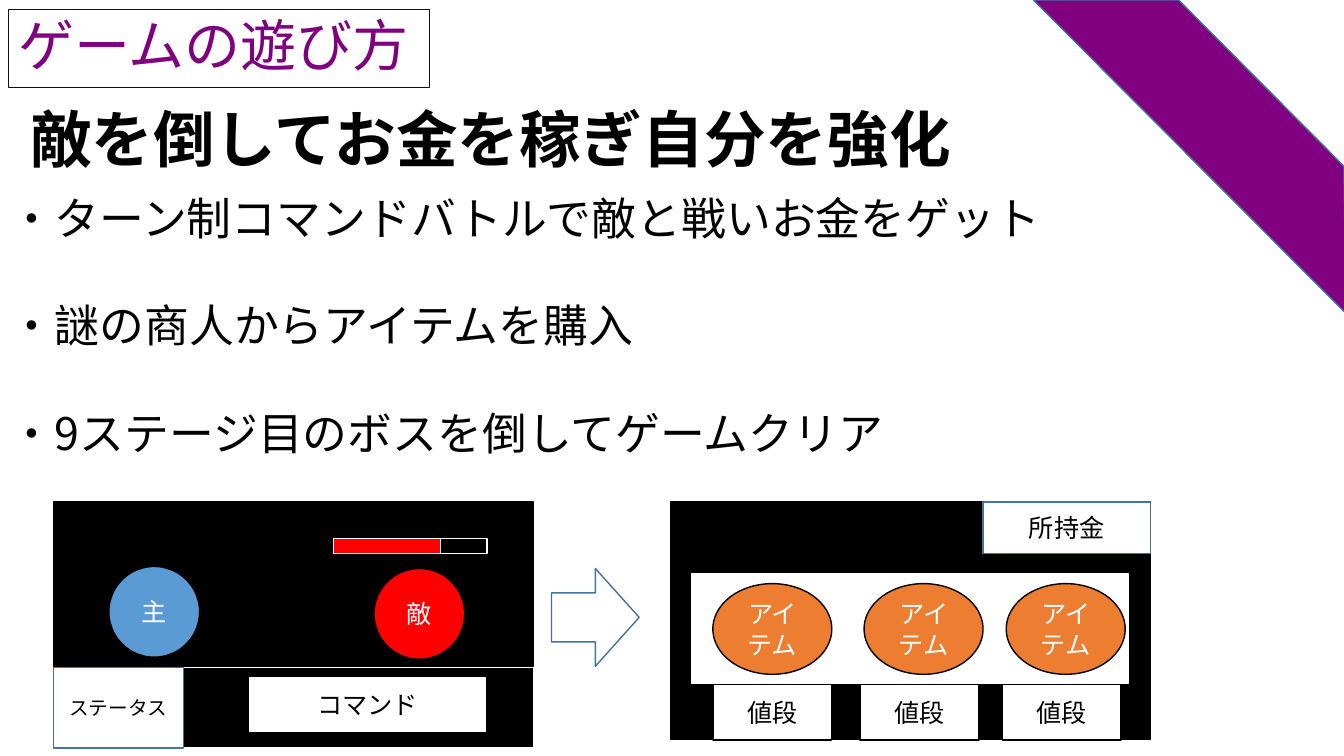
from pptx import Presentation
from pptx.dml.color import RGBColor
from pptx.enum import shapes, text
from pptx.oxml.ns import qn
from pptx.util import Inches, Pt

FONT = "Noto Sans CJK JP"
COLORS = {
    "purple": "800080", "black": "000000", "white": "FFFFFF", "edge": "43739E",
    "frame": "0D0D0D", "hero": "5B9BD5", "red": "FF0000", "item": "ED7D31",
}
RECT = shapes.MSO_SHAPE.RECTANGLE
OVAL = shapes.MSO_SHAPE.OVAL


def color(name):
    return RGBColor.from_string(COLORS[name])


def style_text(frame, size, ink, align, bold=False):
    for paragraph in frame.paragraphs:
        paragraph.alignment = align
        for run in paragraph.runs:
            run.font.size = Pt(size)
            run.font.bold = bold
            run.font.name = FONT
            run.font.color.rgb = color(ink)
            east_asian = run._r.get_or_add_rPr().makeelement(qn("a:ea"), {"typeface": FONT})
            run._r.rPr.find(qn("a:latin")).addnext(east_asian)


def paint(part, fill, line):
    part.shadow.inherit = False
    part.fill.solid()
    part.fill.fore_color.rgb = color(fill)
    part.line.color.rgb = color(line)
    part.line.width = Pt(1)


def add_part(parent, kind, box, fill, line="black", label="", ink="black", size=18):
    part = parent.add_shape(kind, *map(Inches, box))
    paint(part, fill, line)
    if label:
        frame = part.text_frame
        frame.text = label
        frame.word_wrap = True
        frame.vertical_anchor = text.MSO_ANCHOR.MIDDLE
        style_text(frame, size, ink, text.PP_ALIGN.CENTER)
    return part


def add_title(slide, box):
    title = slide.shapes.title
    title.left, title.top, title.width, title.height = map(Inches, box)
    title.line.color.rgb = color("frame")
    title.line.width = Pt(0.75)
    frame = title.text_frame
    frame.text = "ゲームの遊び方"
    frame.vertical_anchor = text.MSO_ANCHOR.MIDDLE
    frame.paragraphs[0].line_spacing = 0.9
    style_text(frame, 40, "purple", text.PP_ALIGN.LEFT)


def add_text(slide, box, lines, size, bold=False):
    frame = slide.shapes.add_textbox(*map(Inches, box)).text_frame
    frame.word_wrap = True
    frame.text = "\n".join(lines)
    style_text(frame, size, "black", text.PP_ALIGN.LEFT, bold)
    return frame.paragraphs


def add_ribbon(slide, box):
    left, top, width, height = box
    right, bottom = left + width, top + height
    builder = slide.shapes.build_freeform(Inches(right), Inches(bottom))
    corners = [(left, top), (left + 1.44, top), (right - 0.02, top + 1.65)]
    builder.add_line_segments([(Inches(x), Inches(y)) for x, y in corners])
    paint(builder.convert_to_shape(), "purple", "edge")


def add_battle_screen(slide, box):
    left, top, width, height = box
    screen = slide.shapes.add_group_shape().shapes
    panel_top, panel_height = top + 1.64, height - 1.64
    add_part(screen, RECT, (left, top, width, 1.63), "black")
    add_part(screen, RECT, (left, panel_top, width, panel_height), "black", "white")
    add_part(screen, OVAL, (left + 0.55, top + 0.64, 0.9, 0.9), "hero", label="主", ink="white")
    add_part(screen, OVAL, (left + 3.18, top + 0.66, 0.9, 0.9), "red", label="敵", ink="white")
    add_part(screen, RECT, (left + 1.93, panel_top + 0.09, 2.37, 0.56), "white", label="コマンド")
    add_part(screen, RECT, (left, panel_top, 1.29, panel_height), "white", "edge",
             "ステータス", size=14)
    add_part(screen, RECT, (left + 2.78, top + 0.36, 1.06, 0.15), "red", "white")
    add_part(screen, RECT, (left + 3.84, top + 0.36, 0.46, 0.15), "black", "white")


def add_shop_screen(slide, box):
    left, top, width, height = box
    screen = slide.shapes.add_group_shape().shapes
    add_part(screen, RECT, box, "black")
    add_part(screen, RECT, (left + 0.21, top + 0.71, 4.33, 1.09), "white", "white")
    for item_x, price_x in ((0.42, 0.42), (1.92, 1.88), (3.33, 3.29)):
        add_part(screen, OVAL, (left + item_x, top + 0.81, 1.18, 0.9), "item",
                 label="アイテム", ink="white")
        add_part(screen, RECT, (left + price_x, top + 1.81, 1.18, 0.55), "white", label="値段")
    add_part(screen, RECT, (left + width - 1.66, top, 1.66, 0.51), "white", "edge", "所持金")


def main():
    deck = Presentation()
    deck.slide_width, deck.slide_height = Inches(13.33), Inches(7.5)
    slide = deck.slides.add_slide(deck.slide_layouts[5])
    add_title(slide, (0.08, 0.09, 4.18, 0.78))
    heading, = add_text(slide, (0.2, 1.04, 10.51, 1.1),
                        ["敵を倒してお金を稼ぎ自分を強化"], 44, bold=True)
    heading.line_spacing = 0.9
    heading.space_before = Pt(10)
    rules = add_text(slide, (0, 1.79, 11.41, 2.79), [
        "・ターン制コマンドバトルで敵と戦いお金をゲット",
        "・謎の商人からアイテムを購入",
        "・9ステージ目のボスを倒してゲームクリア",
    ], 32)
    for rule in rules:
        rule.line_spacing = Pt(42)
    for rule in rules[1:]:
        rule.space_before = Pt(34.8)
    add_ribbon(slide, (10.25, 0, 3.1, 3.11))
    add_battle_screen(slide, (0.53, 4.98, 4.76, 2.44))
    add_shop_screen(slide, (6.65, 4.98, 4.76, 2.35))
    add_part(slide.shapes, shapes.MSO_SHAPE.RIGHT_ARROW, (5.47, 5.64, 0.87, 0.97), "white", "edge")
    deck.save("out.pptx")


if __name__ == "__main__":
    main()
